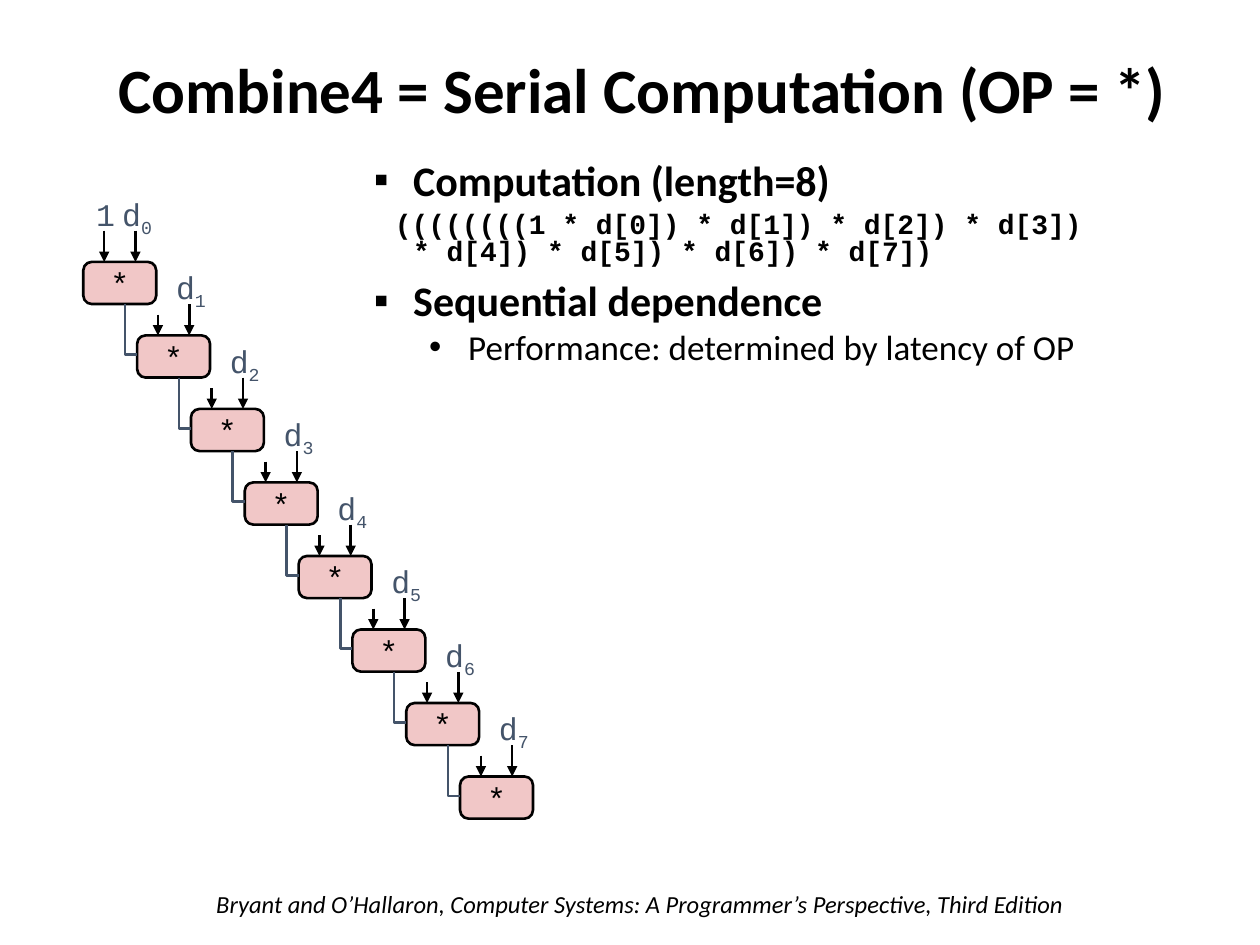
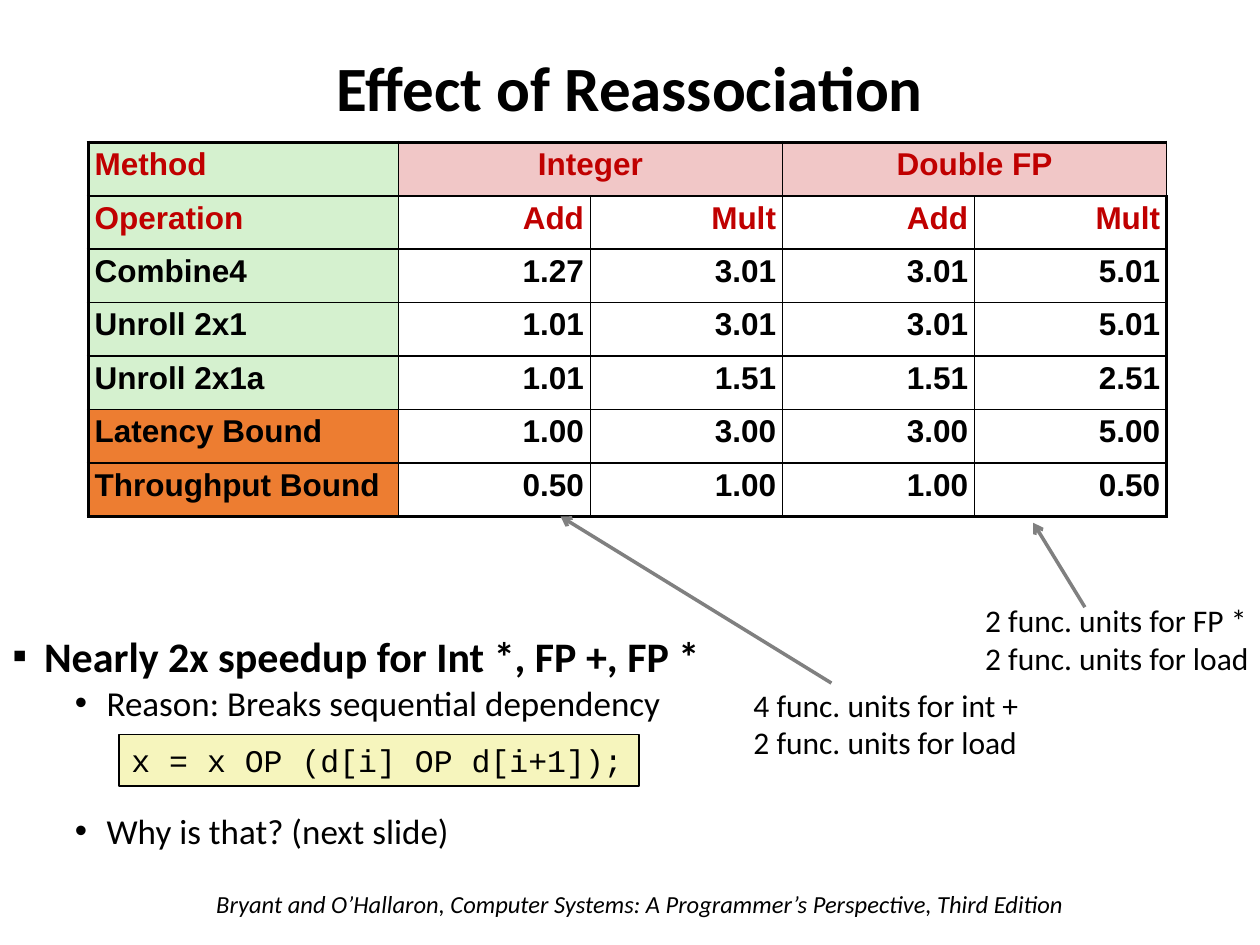
import pptx
import pptx.dml.color
import pptx.enum.shapes
import pptx.enum.text
import pptx.oxml
import pptx.oxml.ns
import pptx.util

Cm = pptx.util.Cm
Pt = pptx.util.Pt
ALIGN = pptx.enum.text.PP_ALIGN
ANCHOR = pptx.enum.text.MSO_ANCHOR
SHAPE = pptx.enum.shapes.MSO_SHAPE
NS = pptx.oxml.ns.nsdecls("a")

BLACK, SLATE, GRAY, RED = "000000", "44546A", "808080", "C00000"
PINK, GREEN, ORANGE, YELLOW = "F1C7C7", "D5F1CF", "ED7D31", "F6F5BD"
SANS, MONO, TABLE_FONT = "Calibri", "Courier New", "Arial"
THIN, THICK = 1, 2.25
FOOTER = ("Bryant and O’Hallaron, Computer Systems: "
          "A Programmer’s Perspective, Third Edition")


def color(value):
    return pptx.dml.color.RGBColor.from_string(value)


def xml(tag):
    return pptx.oxml.parse_xml(tag.replace(" ", f" {NS} ", 1))


# --- Text ---

def add_run(p, text, size, font=SANS, fill=BLACK, bold=False, italic=False):
    r = p.add_run()
    r.text = text
    r.font.size = Pt(size)
    r.font.name = font
    r.font.bold = bold
    r.font.italic = italic
    r.font.color.rgb = color(fill)
    return r


def set_margins(obj, x, y):
    obj.margin_left = obj.margin_right = Cm(x)
    obj.margin_top = obj.margin_bottom = Cm(y)


def add_textbox(s, box, margin=0.25):
    tf = s.shapes.add_textbox(*map(Cm, box)).text_frame
    tf.word_wrap = True
    set_margins(tf, margin, 0.13)
    return tf


def next_paragraph(tf):
    first = tf.paragraphs[0]
    return tf.add_paragraph() if first.runs else first


def add_item(tf, margin, indent, before=0, bullet=None):
    """Start a body paragraph; margin and indent in cm, before in points."""
    p = next_paragraph(tf)
    pPr = p._p.get_or_add_pPr()
    pPr.set("marL", str(Cm(margin)))
    pPr.set("indent", str(Cm(indent)))
    if bullet:
        pPr.append(xml('<a:buFont typeface="Arial"/>'))
        pPr.append(xml(f'<a:buChar char="{bullet}"/>'))
    else:
        pPr.append(xml("<a:buNone />"))
    p.line_spacing = 0.8
    p.space_before = Pt(before)
    return p


def add_title(s, box, text):
    tf = add_textbox(s, box)
    tf.vertical_anchor = ANCHOR.MIDDLE
    p = tf.paragraphs[0]
    p.alignment = ALIGN.CENTER
    p.line_spacing = 0.9
    add_run(p, text, 36, bold=True)


def add_footer(s):
    tf = add_textbox(s, (4.11, 17.8, 18.03, 0.86))
    add_run(tf.paragraphs[0], FOOTER, 14, italic=True)


# --- Shapes and lines ---

def add_box(s, kind, box, fill, width):
    sp = s.shapes.add_shape(kind, *map(Cm, box))
    sp.shadow.inherit = False
    sp.fill.solid()
    sp.fill.fore_color.rgb = color(fill)
    sp.line.color.rgb = color(BLACK)
    sp.line.width = Pt(width)
    sp.text_frame.word_wrap = False
    sp.text_frame.vertical_anchor = ANCHOR.MIDDLE
    return sp


def add_arrow(s, x1, y1, x2, y2, fill=BLACK, width=1.5, head="triangle"):
    line = s.shapes.add_connector(pptx.enum.shapes.MSO_CONNECTOR.STRAIGHT,
                                  Cm(x1), Cm(y1), Cm(x2), Cm(y2))
    line.line.color.rgb = color(fill)
    line.line.width = Pt(width)
    line.line._get_or_add_ln().append(xml(f'<a:tailEnd type="{head}"/>'))
    line._element.spPr.append(xml("<a:effectLst />"))


def add_elbow(s, x1, y1, x2, y2):
    """Draw the wire that carries a result down and right."""
    builder = s.shapes.build_freeform(Cm(x1), Cm(y1))
    builder.add_line_segments([(Cm(x1), Cm(y2)), (Cm(x2), Cm(y2))], close=False)
    sp = builder.convert_to_shape()
    sp.shadow.inherit = False
    sp.fill.background()
    sp.line.color.rgb = color(SLATE)
    sp.line.width = Pt(1.5)


# --- Slide 1: serial computation ---

def add_operand(s, x, y, width, text, subscript=None):
    p = add_textbox(s, (x, y, width, 1.02), margin=0.13).paragraphs[0]
    p.alignment = ALIGN.CENTER
    add_run(p, text, 18, MONO, SLATE)
    if subscript is not None:
        r = add_run(p, str(subscript), 18, MONO, SLATE)
        r.font._element.set("baseline", "-25000")


def add_multiply_chain(s, left, top, count):
    node_w, node_h, step_x, step_y = 1.47, 0.85, 1.085, 1.482
    for i in range(count):
        x, y = left + i * step_x, top + i * step_y
        # Node
        sp = add_box(s, SHAPE.ROUNDED_RECTANGLE, (x, y, node_w, node_h), PINK, 1.5)
        sp.adjustments[0] = 0.2
        p = sp.text_frame.paragraphs[0]
        p.alignment = ALIGN.CENTER
        add_run(p, "*", 18, MONO)
        # Inputs
        add_arrow(s, x + 0.42, y - (0.42 if i else 0.63), x + 0.42, y)
        add_arrow(s, x + 1.05, y - 0.63, x + 1.05, y)
        if i:
            add_elbow(s, x - step_x + 0.84, y - step_y + node_h, x, y + 0.39)
        else:
            add_operand(s, x + 0.13, y - step_y, 0.64, "1")
        add_operand(s, x + 0.64, y - step_y, 0.89, "d", i)


def add_computation_notes(s, box):
    tf = add_textbox(s, box)
    p = add_item(tf, 0.79, -0.79, bullet="▪")
    add_run(p, "Computation (length=8)", 24, bold=True)
    p = add_item(tf, 0.79, -0.37, 5)
    add_run(p, "((((((((1 * d[0]) * d[1]) * d[2]) * d[3])", 16, MONO, bold=True)
    p.add_line_break()
    add_run(p, "* d[4]) * d[5]) * d[6]) * d[7])", 16, MONO, bold=True)
    p = add_item(tf, 0.79, -0.79, 10, "▪")
    add_run(p, "Sequential dependence", 24, bold=True)
    p = add_item(tf, 1.9, -0.79, 5, "•")
    add_run(p, "Performance: determined by latency of OP", 20)


def build_serial_slide(prs):
    s = prs.slides.add_slide(prs.slide_layouts[6])
    add_footer(s)
    add_title(s, (0.91, 0.79, 24.08, 2.16), "Combine4 = Serial Computation (OP = *)")
    add_computation_notes(s, (7.29, 3.18, 17.68, 4.65))
    add_multiply_chain(s, 1.68, 5.28, 8)


# --- Slide 2: reassociation ---

RESULTS = [
    ("Method", "Integer", "", "Double FP", ""),
    ("Operation", "Add", "Mult", "Add", "Mult"),
    ("Combine4", "1.27", "3.01", "3.01", "5.01"),
    ("Unroll 2x1", "1.01", "3.01", "3.01", "5.01"),
    ("Unroll 2x1a", "1.01", "1.51", "1.51", "2.51"),
    ("Latency Bound", "1.00", "3.00", "3.00", "5.00"),
    ("Throughput Bound", "0.50", "1.00", "1.00", "0.50"),
]


def set_borders(cell, outer):
    """Thick lines on the outer sides, thin lines on the others."""
    tcPr = cell._tc.get_or_add_tcPr()
    for i, side in enumerate("LRTB"):
        width = Pt(THICK if side in outer else THIN)
        tcPr.insert(i, xml(f'<a:ln{side} w="{width}"><a:solidFill>'
                           f'<a:srgbClr val="{BLACK}"/></a:solidFill></a:ln{side}>'))


def add_results_table(s, box):
    rows, cols = len(RESULTS), len(RESULTS[0])
    left, top, width, height = box
    table = s.shapes.add_table(rows, cols, *map(Cm, box)).table
    table.first_row = table.horz_banding = False
    label_w = 6.25
    for j, column in enumerate(table.columns):
        column.width = Cm(label_w if j == 0 else (width - label_w) / (cols - 1))
    for row in table.rows:
        row.height = Cm(height / rows)
    for j in (1, 3):
        table.cell(0, j).merge(table.cell(0, j + 1))

    for i, values in enumerate(RESULTS):
        for j, value in enumerate(values):
            cell = table.cell(i, j)
            set_margins(cell, 0.13, 0.13)
            # Fill and borders
            if j == 0 or i == 0:
                cell.fill.solid()
                fill = PINK if j else ORANGE if "Bound" in value else GREEN
                cell.fill.fore_color.rgb = color(fill)
            else:
                cell.fill.background()
            outer = (("L" if j == 0 else "") + ("R" if j == cols - 1 else "")
                     + ("T" if i == 0 else "") + ("B" if i == rows - 1 else ""))
            set_borders(cell, outer)
            # Text
            if value:
                p = cell.text_frame.paragraphs[0]
                p.line_spacing = 0.95
                p.alignment = (ALIGN.LEFT if j == 0
                               else ALIGN.CENTER if i == 0 else ALIGN.RIGHT)
                add_run(p, value, 18, TABLE_FONT, RED if i < 2 else BLACK, bold=True)


def add_speedup_notes(s, box):
    left, top = box[:2]
    tf = add_textbox(s, box)
    p = add_item(tf, 0.64, -0.64, bullet="▪")
    add_run(p, "Nearly 2x speedup for Int *, FP +, FP *", 24, bold=True)
    p = add_item(tf, 1.9, -0.64, 5, "•")
    add_run(p, "Reason: Breaks sequential dependency", 20)
    # The space before leaves room for the code box
    p = add_item(tf, 1.9, -0.64, 54, "•")
    add_run(p, "Why is that? (next slide)", 20)
    code = add_box(s, SHAPE.RECTANGLE, (left + 2.4, top + 2.03, 10.48, 1.03), YELLOW, 1)
    set_margins(code.text_frame, 0.25, 0.13)
    p = code.text_frame.paragraphs[0]
    p.alignment = ALIGN.LEFT
    add_run(p, "x = x OP (d[i] OP d[i+1]);", 18, MONO)


def add_unit_note(s, left, top, lines, arrow):
    add_arrow(s, *arrow, fill=GRAY, width=2, head="arrow")
    tf = add_textbox(s, (left, top, 6.1, 1.8))
    for line in lines:
        add_run(next_paragraph(tf), line, 18)


def build_reassociation_slide(prs):
    s = prs.slides.add_slide(prs.slide_layouts[6])
    add_footer(s)
    add_title(s, (0, 0, 25.4, 3.68), "Effect of Reassociation")
    add_speedup_notes(s, (0, 12.78, 23.09, 4.83))
    add_results_table(s, (1.78, 2.87, 21.74, 7.54))
    load = "2 func. units for load"
    add_unit_note(s, 19.61, 11.99, ["2 func. units for FP *", load],
                  (21.87, 12.24, 20.83, 10.54))
    add_unit_note(s, 14.94, 13.69, ["4 func. units for int +", load],
                  (16.76, 13.77, 11.3, 10.41))


def main():
    prs = pptx.Presentation()
    prs.slide_width, prs.slide_height = Cm(25.4), Cm(19.05)
    build_serial_slide(prs)
    build_reassociation_slide(prs)
    prs.save("out.pptx")


if __name__ == "__main__":
    main()
